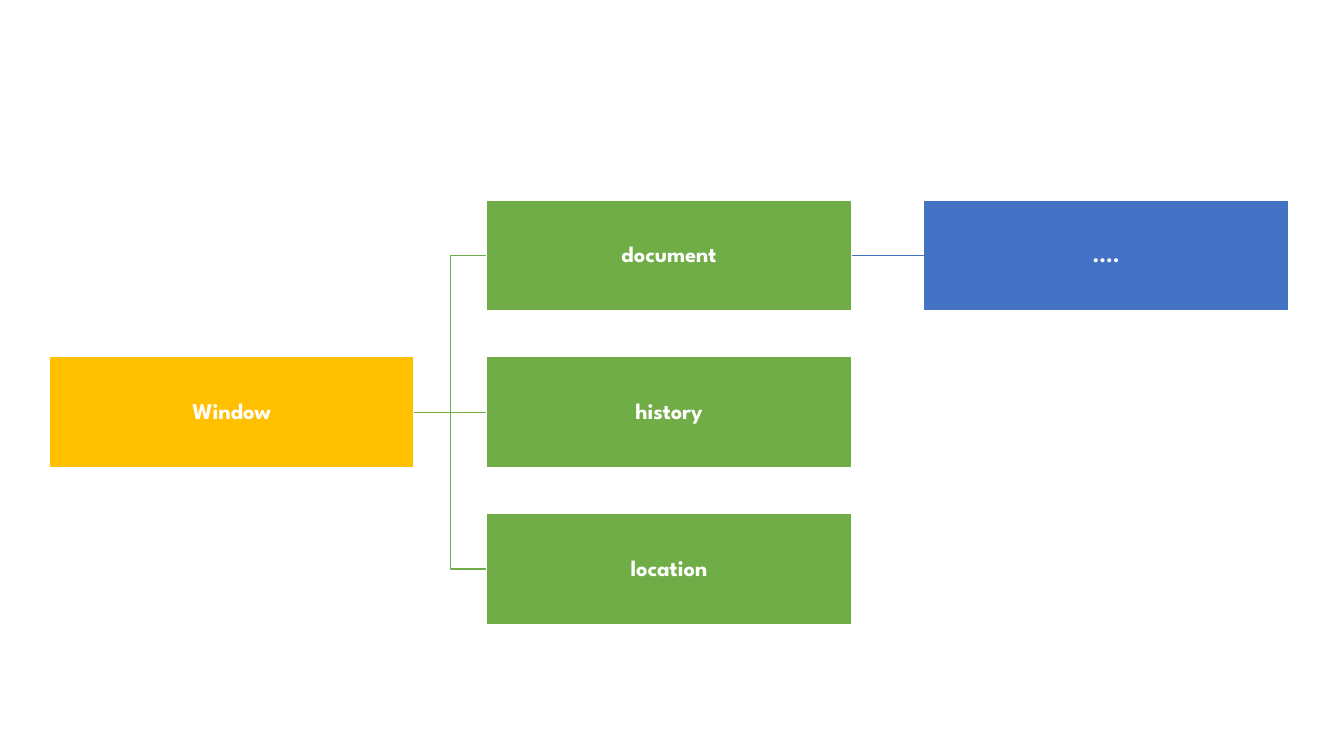
from dataclasses import dataclass

from lxml.etree import SubElement
from pptx import Presentation
from pptx.dml.color import RGBColor
from pptx.enum.shapes import MSO_CONNECTOR as Connector, MSO_SHAPE as Shape
from pptx.enum.text import MSO_ANCHOR as Anchor, PP_ALIGN as Align
from pptx.oxml.ns import qn
from pptx.util import Cm, Pt


@dataclass(frozen=True)
class Theme:
    root: RGBColor = RGBColor(0xFF, 0xC0, 0x00)
    child: RGBColor = RGBColor(0x70, 0xAD, 0x47)
    leaf: RGBColor = RGBColor(0x44, 0x72, 0xC4)
    white: RGBColor = RGBColor(0xFF, 0xFF, 0xFF)
    font: str = "League Spartan"
    size: Pt = Pt(16)
    line: Pt = Pt(1)


theme = Theme()
LEFT, TOP = 1.24, 5.04
BOX_WIDTH, BOX_HEIGHT = 9.2, 2.8
COLUMN_STEP, ROW_STEP = 11.02, 3.95
RIGHT_SIDE, LEFT_SIDE = 3, 1

deck = Presentation()
deck.slide_width, deck.slide_height = Cm(33.87), Cm(19.05)
page = deck.slides.add_slide(deck.slide_layouts[6])

# label, column, row, fill
nodes = [
    ("Window", 0, 1, theme.root),
    ("document", 1, 0, theme.child),
    ("....", 2, 0, theme.leaf),
    ("history", 1, 1, theme.child),
    ("location", 1, 2, theme.child),
]
boxes = {}
for label, column, row, fill in nodes:
    box = page.shapes.add_shape(
        Shape.RECTANGLE,
        Cm(LEFT + column * COLUMN_STEP), Cm(TOP + row * ROW_STEP),
        Cm(BOX_WIDTH), Cm(BOX_HEIGHT),
    )
    box.shadow.inherit = False
    box.fill.solid()
    box.fill.fore_color.rgb = fill
    box.line.color.rgb = theme.white
    box.line.width = theme.line

    frame = box.text_frame
    frame.word_wrap = True
    frame.vertical_anchor = Anchor.MIDDLE
    frame.margin_left = frame.margin_right = Cm(0.03)
    frame.margin_top = frame.margin_bottom = Cm(0.03)
    para = frame.paragraphs[0]
    para.text = label
    para.alignment = Align.CENTER
    para.line_spacing = 0.9
    para.font.name = theme.font
    para.font.size = theme.size
    para.font.bold = True
    para.font.color.rgb = theme.white
    boxes[label] = box

links = [
    ("Window", "location", Connector.ELBOW, theme.child),
    ("Window", "history", Connector.STRAIGHT, theme.child),
    ("document", "....", Connector.STRAIGHT, theme.leaf),
    ("Window", "document", Connector.ELBOW, theme.child),
]
for parent, child, kind, color in links:
    start, end = boxes[parent], boxes[child]
    link = page.shapes.add_connector(
        kind,
        start.left + start.width, start.top + start.height // 2,
        end.left, end.top + end.height // 2,
    )
    link.begin_connect(start, RIGHT_SIDE)
    link.end_connect(end, LEFT_SIDE)
    link.line.color.rgb = color
    link.line.width = theme.line
    SubElement(link.element.spPr, qn("a:effectLst"))

deck.save("out.pptx")
